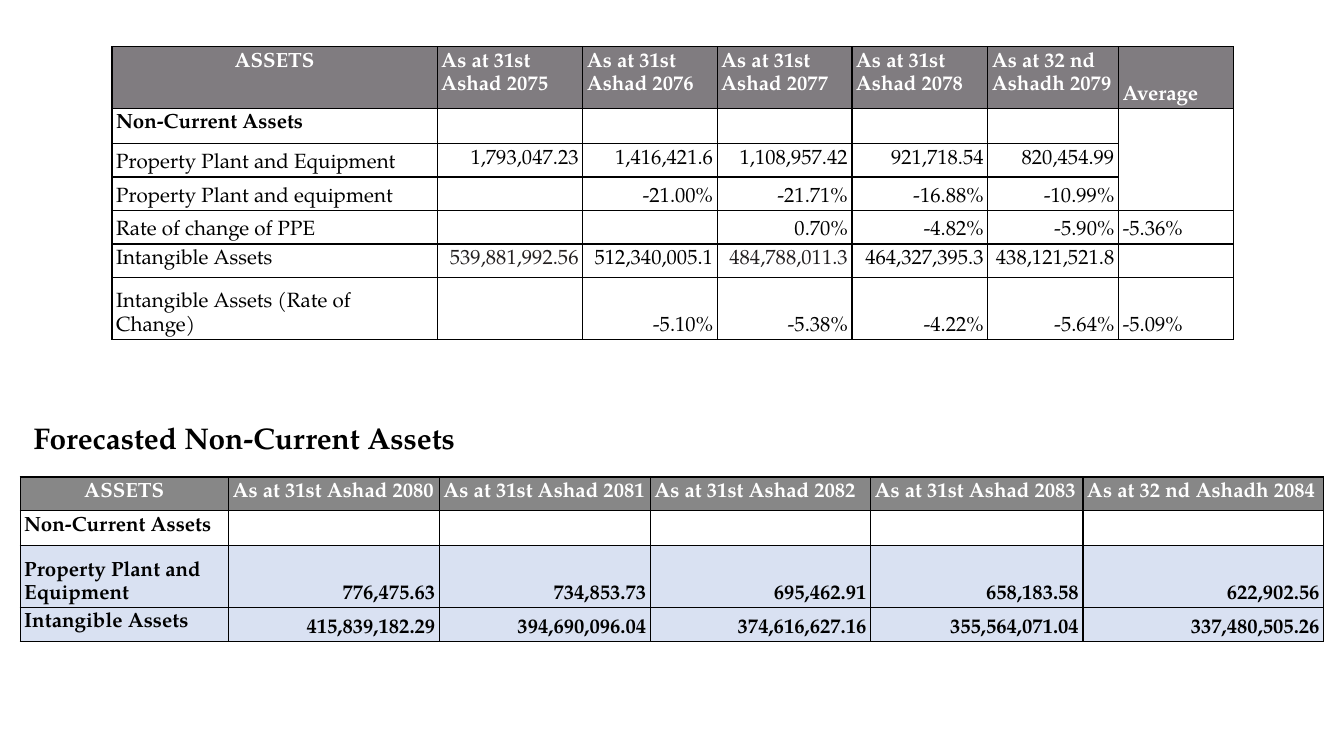
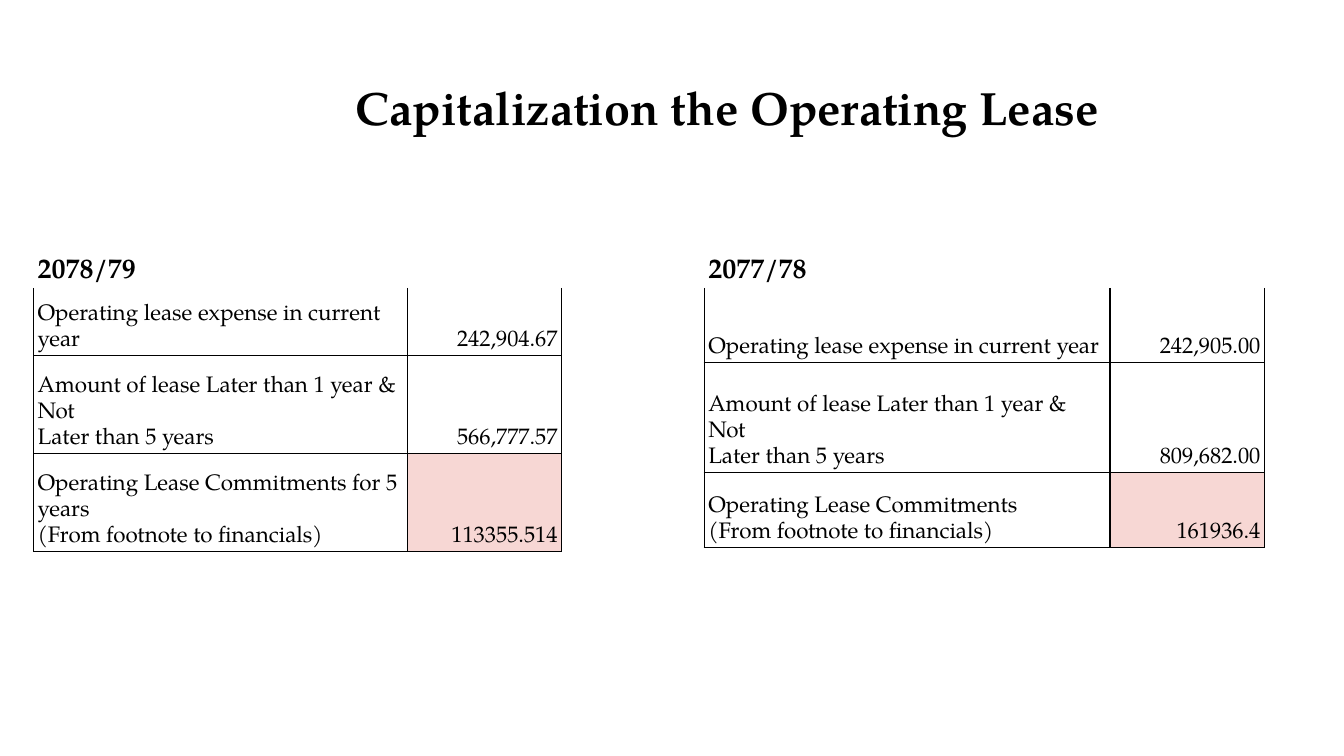
from dataclasses import dataclass, field

from lxml import etree
from pptx import Presentation
from pptx.dml.color import RGBColor
from pptx.enum.text import MSO_ANCHOR, MSO_AUTO_SIZE, PP_ALIGN
from pptx.oxml.ns import qn
from pptx.util import Pt

LEFT, CENTER, RIGHT = PP_ALIGN.LEFT, PP_ALIGN.CENTER, PP_ALIGN.RIGHT
TOP, BOTTOM = MSO_ANCHOR.TOP, MSO_ANCHOR.BOTTOM
TITLE_ONLY = 5
EDGES = "LRTB"


@dataclass(frozen=True)
class Theme:
    font: str = "TeX Gyre Pagella"
    ink: str = "000000"
    soft_ink: str = "231F20"
    white: str = "FFFFFF"
    history_header: str = "807C80"
    forecast_header: str = "878787"
    forecast_band: str = "D9E1F2"
    commitment: str = "F7D7D4"
    heading: float = 16
    title: float = 25
    assets: float = 11
    lease: float = 12
    lease_year: float = 15
    line: float = 0.75
    spacing: float = 1.15
    pad_x: float = 2.2
    pad_y: float = 1.4
    title_pad: float = 7.2


THEME = Theme()


@dataclass
class Row:
    height: float
    texts: list
    size: float = THEME.assets
    bold: bool = False
    color: str = THEME.ink
    fill: str = ""
    anchor: int = BOTTOM
    value_align: int = RIGHT
    edges: str = EDGES


@dataclass
class Grid:
    left: float
    top: float
    widths: list
    rows: list
    merges: list = field(default_factory=list)
    special: dict = field(default_factory=dict)  # (row, column) -> changed settings


def asset_header(height, years, fill):
    return Row(height, ["ASSETS", *years], bold=True, color=THEME.white,
               fill=fill, anchor=TOP, value_align=LEFT)


def section_row(height, columns):
    return Row(height, ["Non-Current Assets"] + [""] * (columns - 1),
               bold=True, anchor=TOP)


HISTORY = Grid(
    60, 25, [174.2, 78, 72, 72.2, 72.8, 70, 61.8],
    [
        asset_header(28, ["As at 31st Ashad 2075", "As at 31st Ashad 2076",
                          "As at 31st Ashad 2077", "As at 31st Ashad 2078",
                          "As at 32 nd Ashadh 2079", "Average"],
                     THEME.history_header),
        section_row(18.7, 7),
        Row(15.8, ["Property Plant and Equipment", "1,793,047.23", "1,416,421.6",
                   "1,108,957.42", "921,718.54", "820,454.99", ""], anchor=TOP),
        Row(15.8, ["Property Plant and equipment", "", "-21.00%", "-21.71%",
                   "-16.88%", "-10.99%", ""]),
        Row(15.8, ["Rate of change of PPE", "", "", "0.70%", "-4.82%", "-5.90%",
                   "-5.36%"]),
        Row(15.8, ["Intangible Assets", "539,881,992.56", "512,340,005.1",
                   "484,788,011.3", "464,327,395.3", "438,121,521.8", ""],
            anchor=TOP),
        Row(28.8, ["Intangible Assets (Rate of Change)", "", "-5.10%", "-5.38%",
                   "-4.22%", "-5.64%", "-5.09%"]),
    ],
    merges=[((1, 6), (3, 6))],
    special={
        (0, 0): {"align": CENTER},
        (0, 6): {"anchor": BOTTOM},
        (2, 0): {"fill": THEME.white, "anchor": BOTTOM},
        (4, 6): {"align": LEFT},
        (5, 1): {"color": THEME.soft_ink},
        (5, 3): {"color": THEME.soft_ink},
        (6, 6): {"align": LEFT},
    },
)

FORECAST = Grid(
    10.8, 255.6, [111.6, 113, 113, 118, 113.8, 129],
    [
        asset_header(15.5, ["As at 31st Ashad 2080", "As at 31st Ashad 2081",
                            "As at 31st Ashad 2082", "As at 31st Ashad 2083",
                            "As at 32 nd Ashadh 2084"], THEME.forecast_header),
        section_row(18.8, 6),
        Row(27.4, ["Property Plant and Equipment", "776,475.63", "734,853.73",
                   "695,462.91", "658,183.58", "622,902.56"],
            bold=True, fill=THEME.forecast_band),
        Row(16, ["Intangible Assets", "415,839,182.29", "394,690,096.04",
                 "374,616,627.16", "355,564,071.04", "337,480,505.26"],
            bold=True, fill=THEME.forecast_band),
    ],
    special={(0, 0): {"align": CENTER}, (3, 0): {"anchor": TOP}},
)


def lease_grid(left, top, label_width, heights, year, expense, later, commitments,
               commitment_label):
    entries = [
        ("Operating lease expense in current year", expense),
        ("Amount of lease Later than 1 year & Not\nLater than 5 years", later),
        (commitment_label + "\n(From footnote to financials)", commitments),
    ]
    rows = [Row(heights[0], [year, ""], size=THEME.lease_year, bold=True,
                fill=THEME.white, edges="")]
    rows += [Row(height, list(entry), size=THEME.lease, fill=THEME.white)
             for height, entry in zip(heights[1:], entries)]
    rows[1].edges = "LRB"
    return Grid(left, top, [label_width, 82.8], rows, merges=[((0, 0), (0, 1))],
                special={(3, 1): {"fill": THEME.commitment}})


LEASES = [
    lease_grid(18, 130.3, 200.2, [24, 36, 52.5, 52.5], "2078/79", "242,904.67",
               "566,777.57", "113355.514", "Operating Lease Commitments for 5 years"),
    lease_grid(377.3, 127.4, 217.4, [26.8, 40.2, 58.6, 40.2], "2077/78", "242,905.00",
               "809,682.00", "161936.4", "Operating Lease Commitments"),
]

SLIDES = [
    {"title": "Forecasted Non-Current Assets", "box": (10.8, 217.4, 283.7, 33.8),
     "size": THEME.heading, "align": LEFT, "grids": [HISTORY, FORECAST]},
    {"title": "Capitalization the Operating Lease", "box": (161.3, 35.3, 456.5, 59),
     "size": THEME.title, "align": CENTER, "grids": LEASES},
]


def add_run(paragraph, text, size, bold, color):
    run = paragraph.add_run()
    run.text = text
    run.font.name = THEME.font
    run.font.size = Pt(size)
    run.font.bold = bold
    run.font.color.rgb = RGBColor.from_string(color)


def set_borders(cell, edges):
    properties = cell._tc.get_or_add_tcPr()
    for edge in EDGES:
        line = etree.SubElement(properties, qn(f"a:ln{edge}"), w=str(Pt(THEME.line)))
        if edge in edges:
            fill = etree.SubElement(line, qn("a:solidFill"))
            etree.SubElement(fill, qn("a:srgbClr"), val=THEME.ink)
        else:
            etree.SubElement(line, qn("a:noFill"))


def fill_cell(cell, text, row, align, color=None, fill=None, anchor=None):
    set_borders(cell, row.edges)
    fill = fill or row.fill
    if fill:
        cell.fill.solid()
        cell.fill.fore_color.rgb = RGBColor.from_string(fill)
    else:
        cell.fill.background()
    cell.margin_left = cell.margin_right = Pt(THEME.pad_x)
    cell.margin_top = cell.margin_bottom = Pt(THEME.pad_y)
    cell.vertical_anchor = anchor or row.anchor
    frame = cell.text_frame
    for index, line in enumerate(text.split("\n")):
        paragraph = frame.add_paragraph() if index else frame.paragraphs[0]
        paragraph.alignment = align
        paragraph.line_spacing = THEME.spacing
        if line:
            add_run(paragraph, line, row.size, row.bold, color or row.color)
        else:
            # Keeps an empty cell from stretching its row
            etree.SubElement(paragraph._p, qn("a:endParaRPr"),
                             sz=str(int(row.size * 100)))


def add_grid(slide, grid):
    table = slide.shapes.add_table(
        len(grid.rows), len(grid.widths), Pt(grid.left), Pt(grid.top),
        Pt(sum(grid.widths)), Pt(sum(row.height for row in grid.rows))).table
    table.first_row = table.horz_banding = False
    for column, width in zip(table.columns, grid.widths):
        column.width = Pt(width)
    for r, row in enumerate(grid.rows):
        table.rows[r].height = Pt(row.height)
        for c, text in enumerate(row.texts):
            settings = {"align": row.value_align if c else LEFT}
            settings.update(grid.special.get((r, c), {}))
            fill_cell(table.cell(r, c), text, row, **settings)
    for first, last in grid.merges:
        table.cell(*first).merge(table.cell(*last))


def set_title(slide, text, box, size, align):
    title = slide.shapes.title
    title.left, title.top, title.width, title.height = map(Pt, box)
    frame = title.text_frame
    frame.word_wrap = True
    frame.auto_size = MSO_AUTO_SIZE.SHAPE_TO_FIT_TEXT
    frame.vertical_anchor = TOP
    frame.margin_left = frame.margin_right = Pt(THEME.title_pad)
    frame.margin_top = frame.margin_bottom = Pt(THEME.title_pad)
    frame.paragraphs[0].alignment = align
    add_run(frame.paragraphs[0], text, size, True, THEME.ink)


def main():
    deck = Presentation()
    deck.slide_width, deck.slide_height = Pt(720), Pt(405)
    for content in SLIDES:
        slide = deck.slides.add_slide(deck.slide_layouts[TITLE_ONLY])
        set_title(slide, content["title"], content["box"], content["size"],
                  content["align"])
        for grid in content["grids"]:
            add_grid(slide, grid)
    deck.save("out.pptx")


if __name__ == "__main__":
    main()
